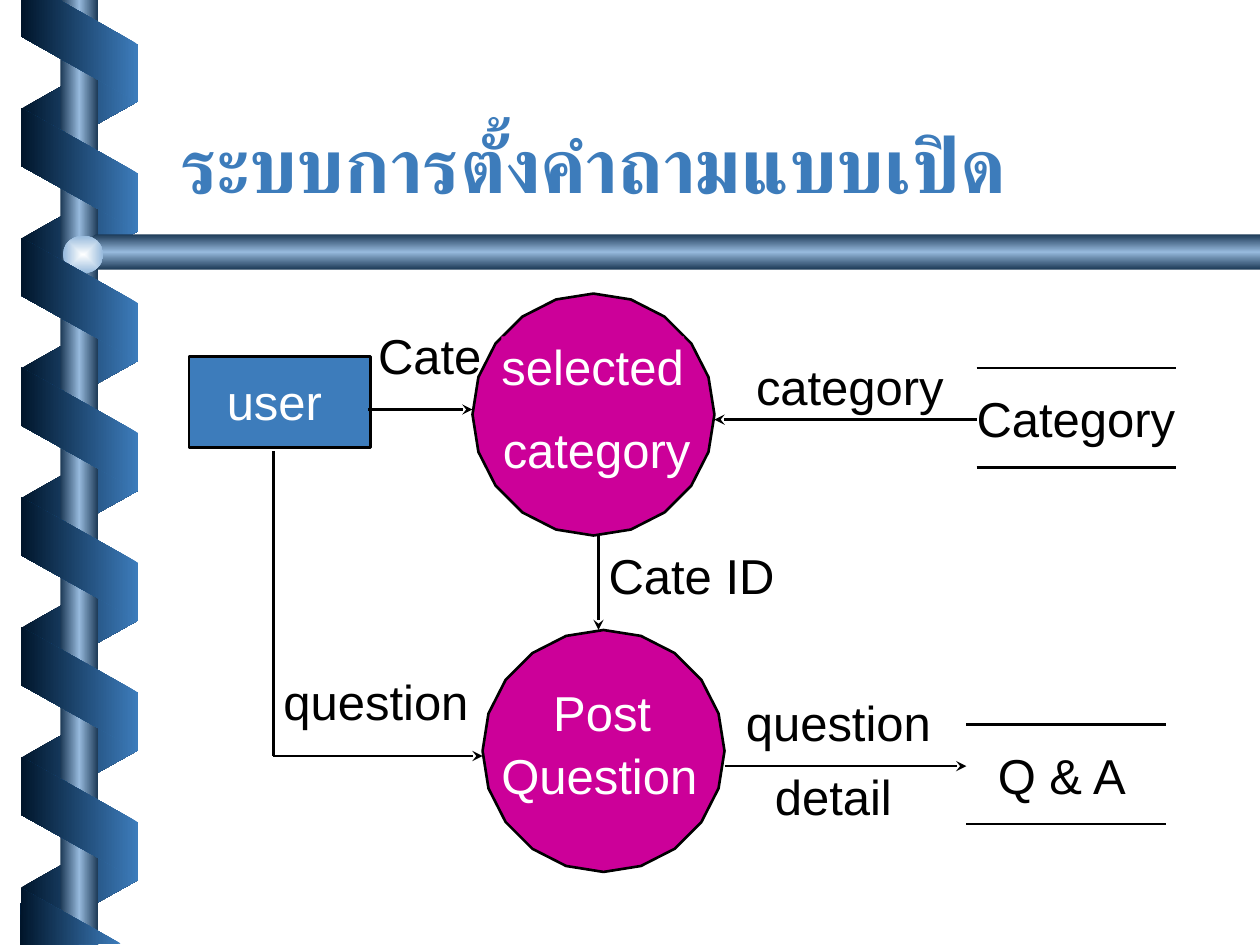
from math import cos, pi, sin

from lxml.etree import SubElement
from pptx import Presentation
from pptx.dml.color import RGBColor
from pptx.enum.shapes import MSO_CONNECTOR as Connector, MSO_SHAPE as Shape
from pptx.enum.text import MSO_ANCHOR as Anchor, MSO_AUTO_SIZE as AutoSize, PP_ALIGN as Align
from pptx.oxml import parse_xml
from pptx.oxml.ns import nsdecls, qn
from pptx.util import Inches, Pt

BLUE, NAVY, STEEL, SKY = "3D7CBB", "00152A", "1C3956", "96B9DC"
MAGENTA, BLACK, WHITE = "CC0099", "000000", "FFFFFF"
LINEAR = '<a:lin ang="{}" scaled="0"/>'
CENTRED = '<a:path path="rect"><a:fillToRect l="50000" t="50000" r="50000" b="50000"/></a:path>'


def color(value):
    return RGBColor.from_string(value)


class Diagram:
    font, size, line_width = "Arial", Pt(28), Pt(1.5)

    def __init__(self, slide):
        self.slide = slide
        self.shapes = slide.shapes

    def title(self, text, left, top, width, height):
        title = self.shapes.title
        title.left, title.top = Inches(left), Inches(top)
        title.width, title.height = Inches(width), Inches(height)
        frame = title.text_frame
        frame.text = text
        frame.word_wrap = True
        frame.auto_size = AutoSize.NONE
        frame.vertical_anchor = Anchor.BOTTOM
        paragraph = frame.paragraphs[0]
        paragraph.alignment = Align.LEFT
        self.style(paragraph.font, "Roboto", Pt(44), BLUE)
        paragraph.font.bold = True

    def style(self, font, name, size, text_color):
        font.name, font.size = name, size
        font.color.rgb = color(text_color)

    def label(self, text, left, top, width, text_color=BLACK, fill=None):
        box = self.shapes.add_textbox(Inches(left), Inches(top), Inches(width), Inches(0.47))
        if fill:
            box.fill.solid()
            box.fill.fore_color.rgb = color(fill)
        frame = box.text_frame
        frame.margin_left = frame.margin_right = frame.margin_top = frame.margin_bottom = 0
        frame.word_wrap = False
        frame.auto_size = AutoSize.SHAPE_TO_FIT_TEXT
        frame.text = text
        self.style(frame.paragraphs[0].font, self.font, self.size, text_color)

    def preset(self, kind, left, top, width, height):
        shape = self.shapes.add_shape(kind, Inches(left), Inches(top), Inches(width), Inches(height))
        shape.shadow.inherit = False
        return shape

    def polygon(self, points):
        corners = [(Inches(x), Inches(y)) for x, y in points]
        builder = self.shapes.build_freeform(*corners[0])
        builder.add_line_segments(corners[1:], close=True)
        shape = builder.convert_to_shape()
        shape.shadow.inherit = False
        return shape

    def solid(self, shape, fill):
        shape.fill.solid()
        shape.fill.fore_color.rgb = color(fill)
        shape.line.color.rgb = color(BLACK)
        shape.line.width = self.line_width

    def gradient(self, shape, colors, direction):
        shape.line.fill.background()
        shape.fill.background()
        step = 100000 // (len(colors) - 1)
        stops = "".join(
            f'<a:gs pos="{index * step}"><a:srgbClr val="{value}"/></a:gs>'
            for index, value in enumerate(colors)
        )
        no_fill = shape.element.spPr.find(qn("a:noFill"))
        no_fill.getparent().replace(no_fill, parse_xml(
            f'<a:gradFill {nsdecls("a")} rotWithShape="0">'
            f"<a:gsLst>{stops}</a:gsLst>{direction}</a:gradFill>"
        ))

    def ribbon(self, top, front):
        band = self.preset(Shape.PARALLELOGRAM, 0.14, top, 0.98, 0.93)
        band.adjustments[0] = 0.56
        band.rotation = 270 if front else 90
        if not front:
            band.element.spPr.find(qn("a:xfrm")).set("flipH", "1")
        self.gradient(band, (BLUE, NAVY) if front else (NAVY, BLUE), LINEAR.format(10800000))

    def process(self, left, top, radius=0.96, sides=20):
        angles = [2 * pi * side / sides for side in range(sides)]
        self.solid(self.polygon([
            (left + radius * (1 - cos(angle)), top + radius * (1 - sin(angle))) for angle in angles
        ]), MAGENTA)

    def line(self, x1, y1, x2, y2, arrow=False):
        line = self.shapes.add_connector(
            Connector.STRAIGHT, Inches(x1), Inches(y1), Inches(x2), Inches(y2))
        line.line.color.rgb = color(BLACK)
        line.line.width = self.line_width
        if arrow:
            SubElement(line.line._get_or_add_ln(), qn("a:tailEnd"), type="stealth")
        SubElement(line.element.spPr, qn("a:effectLst"))

    def data_store(self, left, top):
        for y in (top, top + 0.79):
            self.line(left, y, left + 1.58, y)

    def spiral_frame(self):
        pitch = 1.03
        tube = (STEEL, SKY, STEEL)
        for turn in range(7):
            self.ribbon(0.37 + turn * pitch, front=False)
        self.gradient(self.preset(Shape.RECTANGLE, 0.48, 0, 0.3, 7.5), tube, LINEAR.format(10800000))
        rod = self.polygon([(10, 1.86), (0.76, 1.86), (0.6, 2), (0.76, 2.14), (10, 2.14)])
        self.gradient(rod, tube, LINEAR.format(5400000))
        self.gradient(self.preset(Shape.OVAL, 0.5, 1.87, 0.32, 0.3), ("FEFFFF", SKY), CENTRED)
        for turn in range(6):
            self.ribbon(0.88 + turn * pitch, front=True)
        top_end = [(0.17, 0), (0.17, 0.29), (1.09, 0.81), (1.09, 0.35), (0.47, 0)]
        bottom_end = [(0.96, 7.49), (0.17, 7.05), (0.16, 7.5)]
        for end in (top_end, bottom_end):
            self.gradient(self.polygon(end), (BLUE, NAVY), LINEAR.format(10800000))


def main():
    deck = Presentation()
    deck.slide_width, deck.slide_height = Inches(10), Inches(7.5)
    diagram = Diagram(deck.slides.add_slide(deck.slide_layouts[5]))

    diagram.spiral_frame()
    diagram.title("ระบบการตั้งคำถามแบบเปิด", 1.33, 0.46, 8.5, 1.25)

    diagram.process(3.75, 2.33)
    diagram.process(3.83, 5)
    diagram.solid(diagram.preset(Shape.RECTANGLE, 1.5, 2.83, 1.44, 0.72), BLUE)
    for text, left, top, width, fill in (
        ("selected", 3.98, 2.67, 1.45, MAGENTA),
        ("category", 3.99, 3.33, 1.49, MAGENTA),
        ("Post", 4.39, 5.42, 0.78, MAGENTA),
        ("Question", 3.98, 5.92, 1.56, MAGENTA),
        ("user", 1.8, 2.95, 0.76, BLUE),
    ):
        diagram.label(text, left, top, width, WHITE, fill)

    diagram.data_store(7.67, 5.75)
    diagram.data_store(7.75, 2.92)
    for text, left, top, width in (
        ("Q & A", 7.92, 5.92, 1.04),
        ("Category", 7.75, 3.08, 1.58),
        ("category", 6, 2.83, 1.49),
        ("Cate", 3, 2.58, 0.82),
        ("question", 5.92, 5.5, 1.47),
        ("detail", 6.15, 6.08, 0.93),
        ("question", 2.25, 5.33, 1.47),
        ("Cate ID", 4.83, 4.33, 1.32),
    ):
        diagram.label(text, left, top, width)

    diagram.line(2.17, 3.58, 2.17, 6)
    for flow in (
        (7.75, 3.33, 5.67, 3.33),
        (2.92, 3.25, 3.75, 3.25),
        (5.75, 6.08, 7.67, 6.08),
        (2.17, 6, 3.83, 6),
        (4.75, 4.25, 4.75, 5),
    ):
        diagram.line(*flow, arrow=True)

    deck.save("out.pptx")


if __name__ == "__main__":
    main()
